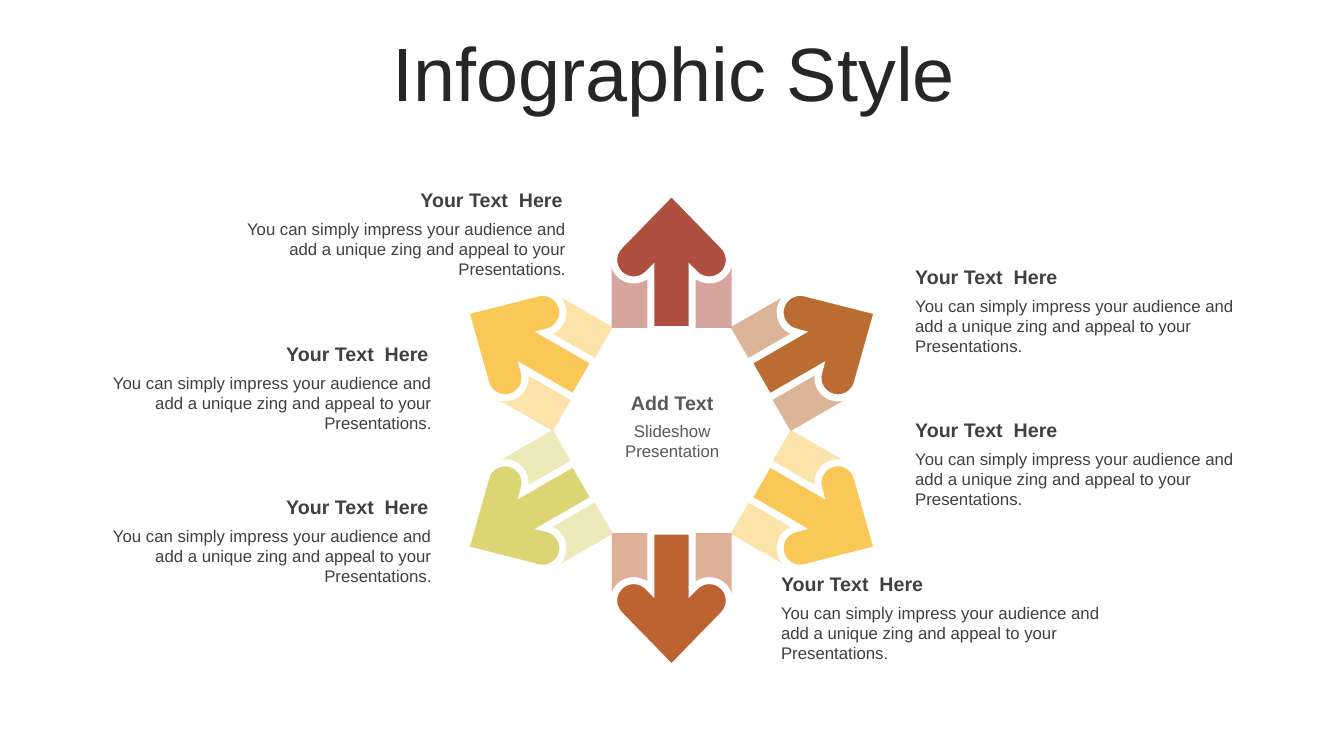
from math import cos, radians, sin

from lxml.etree import Element, SubElement
from pptx import Presentation
from pptx.dml.color import RGBColor
from pptx.enum.shapes import MSO_SHAPE as Preset
from pptx.enum.text import MSO_ANCHOR as Anchor, MSO_AUTO_SIZE as AutoSize, PP_ALIGN as Align
from pptx.oxml.ns import qn
from pptx.util import Pt

HUB_X, HUB_Y = 479.8, 307.5
STEM_WIDTH, STEM_HEIGHT, STEM_RADIUS = 85.7, 45.4, 96
ARROW_RADIUS, ARROW_TURN = 113.6, 225
TIP, SHAFT_END, SHAFT_HALF = -56.1, 41.8, 14.7
BARB_X, BARB_Y, BARB_RADIUS = 27, -7.9, 14.3
BARB_CURVE_STARTS = (1, 4, 12, 15)
QUARTER_ARC = 0.55
ROW_PITCH = 109.6

ARROW_COLORS = ["AF4F3F", "BB6C32", "F9C856", "BD6331", "DCD574", "F9C856"]
HEADING = "Your Text  Here"
BODY = "You can simply impress your audience and add a unique zing and appeal to your Presentations."

HEADING_FONT = {"size": Pt(14), "bold": True}
BODY_FONT = {"size": Pt(12), "bold": False}


def color(hex_value):
    """Return the colour for a hex string."""
    return RGBColor.from_string(hex_value)


def apply_format(target, values):
    """Set each attribute of the target from a dict."""
    for key, value in values.items():
        setattr(target, key, value)


def paint(shape, hex_value):
    """Give a shape a solid fill and no shadow."""
    shape.shadow.inherit = False
    shape.fill.solid()
    shape.fill.fore_color.rgb = color(hex_value)


def add_text(slide, box, wording, font, hex_value, align, frame=None, spacing=1.0):
    """Add one paragraph of text in a wrapped box."""
    text_frame = slide.shapes.add_textbox(*map(Pt, box)).text_frame
    apply_format(text_frame, {"word_wrap": True, **(frame or {"auto_size": AutoSize.SHAPE_TO_FIT_TEXT})})
    paragraph = text_frame.paragraphs[0]
    apply_format(paragraph, {"text": wording, "alignment": align, "line_spacing": spacing})
    apply_format(paragraph.font, {"name": "Arial", **font})
    paragraph.font.color.rgb = color(hex_value)


def turned(x, y, degrees):
    """Turn a point about the origin."""
    turn = radians(degrees)
    return x * cos(turn) - y * sin(turn), x * sin(turn) + y * cos(turn)


def around_hub(radius, degrees):
    """Return the slide position at a distance and angle from the hub."""
    x, y = turned(0, -radius, degrees)
    return HUB_X + x, HUB_Y + y


def arrow_outline():
    """Return the upward arrow about its centre, with the curve handles of its barbs."""
    reach, handle = BARB_RADIUS, BARB_RADIUS * QUARTER_ARC
    barb = [(0, -reach), (handle, -reach), (reach, -handle), (reach, 0),
            (reach, handle), (handle, reach), (0, reach)]
    barb = [turned(x, y, 45) for x, y in barb]
    barb = [(BARB_X + x, BARB_Y + y) for x, y in barb]
    end_x, end_y = barb[-1]
    right = barb + [(SHAFT_HALF, end_y - end_x + SHAFT_HALF), (SHAFT_HALF, SHAFT_END)]
    return [(0, TIP)] + right + [(-x, y) for x, y in reversed(right)]


def round_barbs(arrow):
    """Join the barb points into curves."""
    segments = list(arrow.element.iter(qn("a:lnTo")))
    for start in BARB_CURVE_STARTS:
        curve = Element(qn("a:cubicBezTo"))
        segments[start].addprevious(curve)
        for segment in segments[start:start + 3]:
            curve.append(segment[0])
            segment.getparent().remove(segment)


def add_stem(slide, degrees, hex_value):
    """Add the half-transparent block behind an arrow."""
    x, y = around_hub(STEM_RADIUS, degrees)
    box = (x - STEM_WIDTH / 2, y - STEM_HEIGHT / 2, STEM_WIDTH, STEM_HEIGHT)
    stem = slide.shapes.add_shape(Preset.RECTANGLE, *map(Pt, box))
    stem.rotation = degrees
    paint(stem, hex_value)
    stem.line.fill.background()
    fill_color = stem.element.spPr.find(".//" + qn("a:srgbClr"))
    SubElement(fill_color, qn("a:alpha"), val="50000")


def add_arrow(slide, degrees, hex_value):
    """Add an arrow with a white edge pointing away from the hub."""
    center_x, center_y = around_hub(ARROW_RADIUS, degrees)
    outline = [turned(x, y, -ARROW_TURN) for x, y in arrow_outline()]
    tip, *rest = [(Pt(center_x + x), Pt(center_y + y)) for x, y in outline]
    builder = slide.shapes.build_freeform(*tip)
    builder.add_line_segments(rest, close=True)
    arrow = builder.convert_to_shape()
    round_barbs(arrow)
    arrow.rotation = (ARROW_TURN + degrees) % 360
    paint(arrow, hex_value)
    arrow.line.color.rgb = color("FFFFFF")
    arrow.line.width = Pt(5)
    SubElement(arrow.element.spPr.find(qn("a:ln")), qn("a:miter"), lim="800000")


def add_caption(slide, left, top, align):
    """Add a heading with its body text below."""
    add_text(slide, (left, top + 21.8, 257.8, 51.1), BODY, BODY_FONT, "404040", align)
    add_text(slide, (left, top, 255.6, 24.2), HEADING, HEADING_FONT, "404040", align)


def main():
    """Build the slide and save it."""
    deck = Presentation()
    apply_format(deck, {"slide_width": Pt(960), "slide_height": Pt(540)})
    slide = deck.slides.add_slide(deck.slide_layouts[6])

    add_text(slide, (25.5, 26.6, 911.5, 56.9), "Infographic Style", {"size": Pt(54)}, "262626",
             Align.CENTER, {"vertical_anchor": Anchor.MIDDLE}, 0.9)

    for index, hex_value in enumerate(ARROW_COLORS):
        add_stem(slide, index * 60, hex_value)
        add_arrow(slide, index * 60, hex_value)

    add_text(slide, (429.8, 275.4, 100.8, 24.2), "Add Text", HEADING_FONT, "595959", Align.CENTER)
    add_text(slide, (429.8, 297, 100.8, 36.3), "Slideshow Presentation", BODY_FONT, "595959", Align.CENTER)

    columns = [
        (185.6, Align.LEFT, [646.6, 646.6, 550.8]),
        (131, Align.RIGHT, [153.4, 57.6, 57.6]),
    ]
    for first_top, align, lefts in columns:
        for row, left in enumerate(lefts):
            add_caption(slide, left, first_top + row * ROW_PITCH, align)

    deck.save("out.pptx")


if __name__ == "__main__":
    main()
